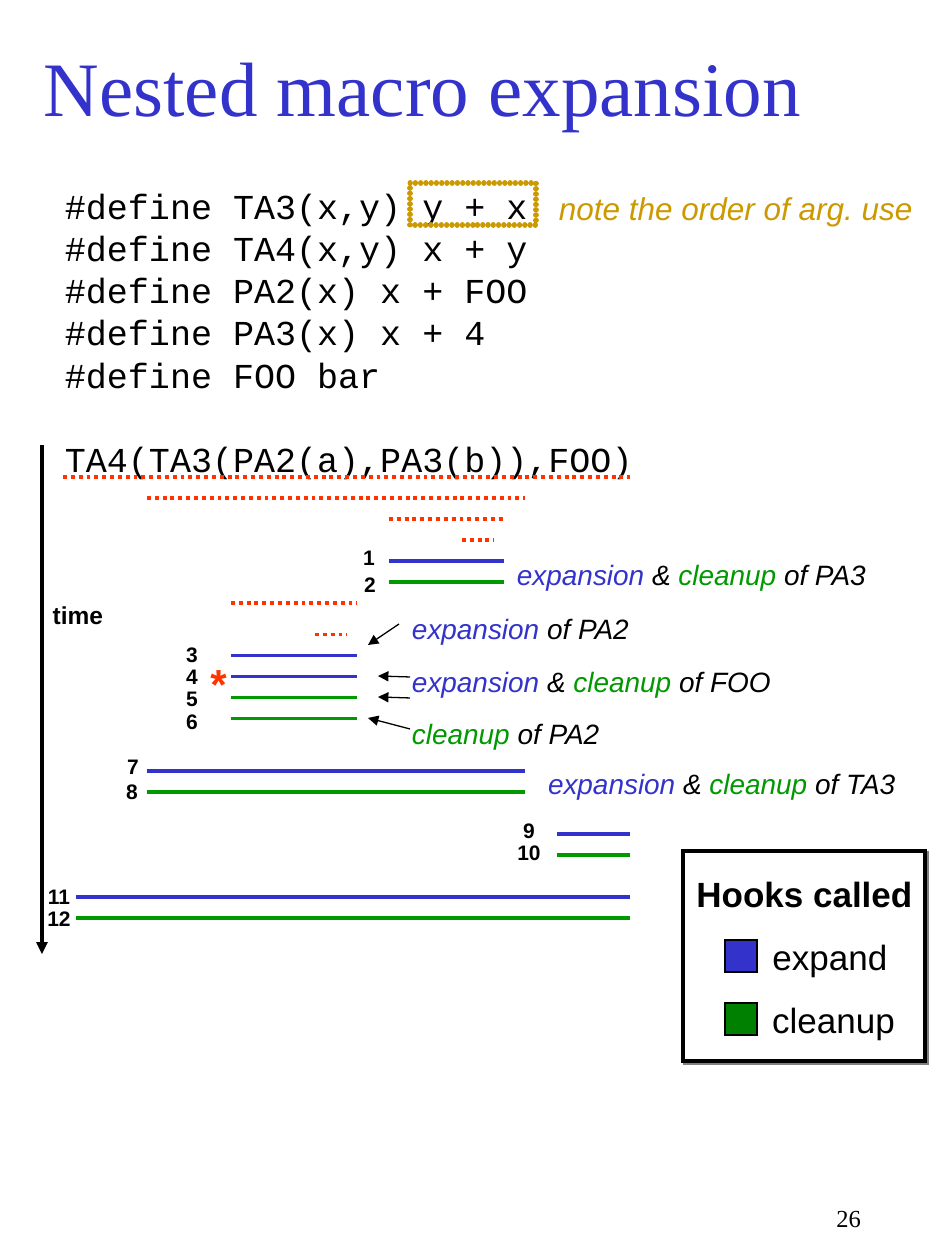
"""Build the slide on nested macro expansion."""
from dataclasses import dataclass

from lxml.etree import SubElement
from pptx import Presentation
from pptx.dml.color import RGBColor
from pptx.enum.dml import MSO_LINE
from pptx.enum.shapes import MSO_CONNECTOR, MSO_SHAPE
from pptx.enum.text import MSO_ANCHOR, MSO_AUTO_SIZE, PP_ALIGN
from pptx.oxml.ns import qn
from pptx.util import Pt


@dataclass(frozen=True)
class Theme:
    """Hold the colours, fonts and type sizes."""
    blue: str = "3333CC"
    green: str = "009900"
    key_green: str = "008000"
    red: str = "FF3300"
    gold: str = "CC9900"
    black: str = "000000"
    white: str = "FFFFFF"
    grey: str = "808080"
    serif: str = "Times New Roman"
    sans: str = "Arial"
    mono: str = "Courier New"
    title: int = 44
    star: int = 24
    body: int = 20
    note: int = 18
    label: int = 16
    small: int = 14
    step: int = 12
    leading: float = 24.1


T = Theme()
ROW_TOP, ROW = 477, 21
INSET, TIGHT = 13, 4
CODE = (
    "#define TA3(x,y) y + x",
    "#define TA4(x,y) x + y",
    "#define PA2(x) x + FOO",
    "#define PA3(x) x + 4",
    "#define FOO bar",
)
CALL = "TA4(TA3(PA2(a),PA3(b)),FOO)"
SCANS = ((0, 63, 630), (1, 147, 525), (2, 389, 504), (3, 462, 494),
         (6, 231, 357), (7.5, 315, 347))
EXPANDS = ((4, 389, 504), (8.5, 231, 357), (9.5, 231, 357), (14, 147, 525),
           (17, 557, 630), (20, 76, 630))
CLEANUPS = ((5, 389, 504), (10.5, 231, 357), (11.5, 231, 357), (15, 147, 525),
            (18, 557, 630), (21, 76, 630))
STEPS = ((369, 557), (370, 584), (192, 654), (192, 676), (192, 698), (192, 721),
         (133, 766), (132, 791), (529, 830), (529, 852), (59, 896), (59, 918))
EXPAND, CLEANUP = ("expansion ", T.blue), ("cleanup ", T.green)
BOTH = (EXPAND, ("& ", T.black), CLEANUP)
LABELS = (
    (504, 551, 375, (*BOTH, ("of PA3", T.black))),
    (399, 605, 244, (EXPAND, ("of PA2", T.black))),
    (399, 658, 383, (*BOTH, ("of FOO", T.black))),
    (399, 710, 214, (CLEANUP, ("of PA2", T.black))),
    (535, 760, 374, (*BOTH, ("of TA3", T.black))),
)
POINTERS = (
    ((378, 676), (410, 677), "headEnd"),
    ((378, 697), (410, 698), "headEnd"),
    ((399, 624), (368, 645), "tailEnd"),
    ((410, 729), (368, 718), "tailEnd"),
)


def px(n):
    """Turn pixels into EMU."""
    return round(n * 914400 / 126)


def rgb(color):
    """Turn a hex string into a colour."""
    return RGBColor.from_string(color)


def add_run(p, text, color, **fmt):
    """Add a formatted run to a paragraph."""
    r = p.add_run()
    r.text = text
    r.font.color.rgb = rgb(color)
    for name, value in fmt.items():
        setattr(r.font, name, value)


def add_text(s, box, runs, size, font=T.sans, align=PP_ALIGN.LEFT,
             anchor=MSO_ANCHOR.MIDDLE, wrap=False, **fmt):
    """Add a text box whose spare inset keeps a label on one line."""
    tf = s.shapes.add_textbox(*map(px, box)).text_frame
    frame = {
        "word_wrap": wrap,
        "auto_size": MSO_AUTO_SIZE.NONE,
        "vertical_anchor": anchor,
        "margin_left": px(TIGHT if align == PP_ALIGN.CENTER else INSET),
        "margin_right": px(INSET if wrap else TIGHT),
    }
    for name, value in frame.items():
        setattr(tf, name, value)
    p = tf.paragraphs[0]
    p.alignment = align
    for text, color in runs:
        add_run(p, text, color, size=Pt(size), name=font, **fmt)
    return tf


def add_code(s):
    """Add the macro definitions and the nested call."""
    style = {"size": Pt(T.body), "name": T.mono}
    tf = add_text(s, (52, 178, 593, 307), [(CODE[0], T.black)], T.body,
                  T.mono, anchor=MSO_ANCHOR.TOP)
    for line in (*CODE[1:], CALL):
        add_run(tf.add_paragraph(), line, T.black, **style)
    for p in tf.paragraphs:
        p.line_spacing = Pt(T.leading)
    tf.paragraphs[-1].space_before = Pt(T.leading)


def add_line(s, start, end, color, width=2.25, dash=None, arrow=None):
    """Add a straight line, dotted or with an arrowhead if asked."""
    c = s.shapes.add_connector(MSO_CONNECTOR.STRAIGHT, *map(px, (*start, *end)))
    c.line.color.rgb = rgb(color)
    c.line.width = Pt(width)
    if dash:
        c.line.dash_style = dash
    if arrow:
        SubElement(c.line._get_or_add_ln(), qn("a:" + arrow), type="triangle")
    SubElement(c._element.spPr, qn("a:effectLst"))


def add_bars(s, bars, color, dash=None):
    """Add horizontal bars on the row grid."""
    for row, left, right in bars:
        y = ROW_TOP + ROW * row
        add_line(s, (left, y), (right, y), color, dash=dash)


def add_box(s, box, line, width, fill=None):
    """Add an outlined rectangle, with square corners if filled."""
    sp = s.shapes.add_shape(MSO_SHAPE.RECTANGLE, *map(px, box))
    sp.shadow.inherit = False
    sp.line.color.rgb = rgb(line)
    sp.line.width = Pt(width)
    if fill:
        sp.fill.solid()
        sp.fill.fore_color.rgb = rgb(fill)
        SubElement(sp.line._get_or_add_ln(), qn("a:miter"), lim="800000")
    else:
        sp.fill.background()
    return sp


def add_frame(s):
    """Add the round-dotted frame around the macro body."""
    sp = add_box(s, (410, 183, 126, 42), T.gold, 3)
    ln = sp.line._get_or_add_ln()
    ln.set("cap", "rnd")
    dash = SubElement(ln, qn("a:custDash"))
    SubElement(dash, qn("a:ds"), d="1000", sp="99000")


def add_legend(s):
    """Add the shadowed key of hook colours."""
    sp = add_box(s, (683, 851, 242, 210), T.black, 2.25, T.white)
    effects = sp._element.spPr.find(qn("a:effectLst"))
    shadow = SubElement(effects, qn("a:outerShdw"), dist=str(Pt(1.4)),
                        dir="2700000", algn="ctr", rotWithShape="0")
    SubElement(shadow, qn("a:srgbClr"), val=T.grey)
    add_text(s, (684, 866, 241, 55), [("Hooks called", T.black)], T.body,
             align=PP_ALIGN.CENTER, bold=True)
    keys = (("expand", T.blue, 140), ("cleanup", T.key_green, 147))
    for i, (name, color, width) in enumerate(keys):
        y = 940 + 63 * i
        add_box(s, (725, y, 32, 32), T.black, 0.75, color)
        add_text(s, (760, y - 11, width, 55), [(name, T.black)], T.body,
                 align=PP_ALIGN.CENTER)


def add_steps(s):
    """Add the step numbers, each centred on its point."""
    for n, (x, y) in enumerate(STEPS, 1):
        width = 36 if n < 10 else 48
        add_text(s, (x - width // 2, y - 19, width, 38), [(str(n), T.black)],
                 T.step, align=PP_ALIGN.CENTER, bold=True)


def main():
    """Build and save the slide."""
    prs = Presentation()
    prs.slide_width, prs.slide_height = px(945), px(1260)
    s = prs.slides.add_slide(prs.slide_layouts[6])
    add_text(s, (31, 32, 804, 108), [("Nested macro expansion", T.blue)],
             T.title, T.serif, wrap=True)
    add_code(s)
    add_frame(s)
    add_text(s, (546, 183, 379, 50), [("note the order of arg. use", T.gold)],
             T.note, italic=True)
    add_bars(s, SCANS, T.red, MSO_LINE.ROUND_DOT)
    add_bars(s, EXPANDS, T.blue)
    add_bars(s, CLEANUPS, T.green)
    for x, y, width, runs in LABELS:
        add_text(s, (x, y, width, 47), runs, T.label, italic=True)
    for start, end, arrow in POINTERS:
        add_line(s, start, end, T.black, 0.75, arrow=arrow)
    add_line(s, (42, 445), (42, 954), T.black, arrow="tailEnd")
    add_text(s, (40, 593, 76, 43), [("time", T.black)], T.small,
             align=PP_ALIGN.CENTER, bold=True)
    add_text(s, (198, 651, 41, 63), [("*", T.red)], T.star,
             align=PP_ALIGN.CENTER, bold=True)
    add_steps(s)
    add_legend(s)
    add_text(s, (677, 1197, 197, 35), [("26", T.black)], T.small, T.serif,
             PP_ALIGN.RIGHT, MSO_ANCHOR.TOP, wrap=True)
    prs.save("out.pptx")


if __name__ == "__main__":
    main()
